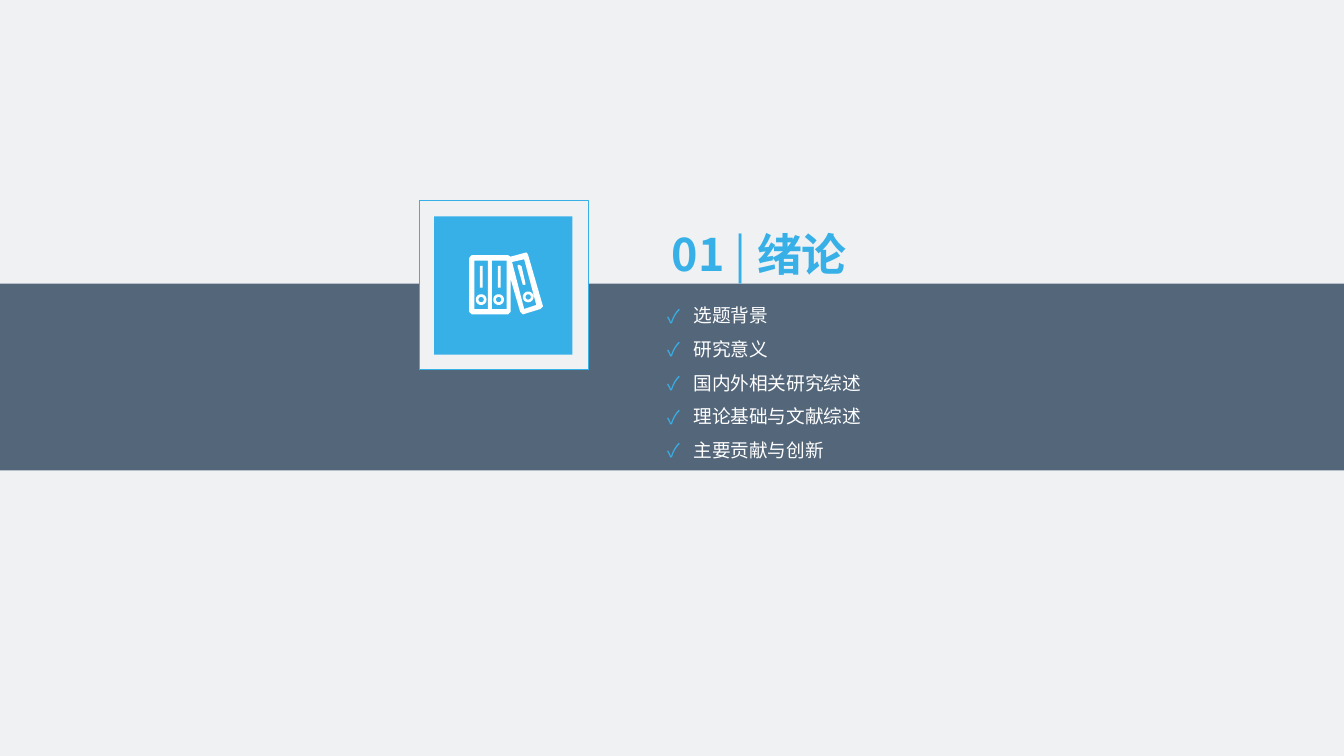
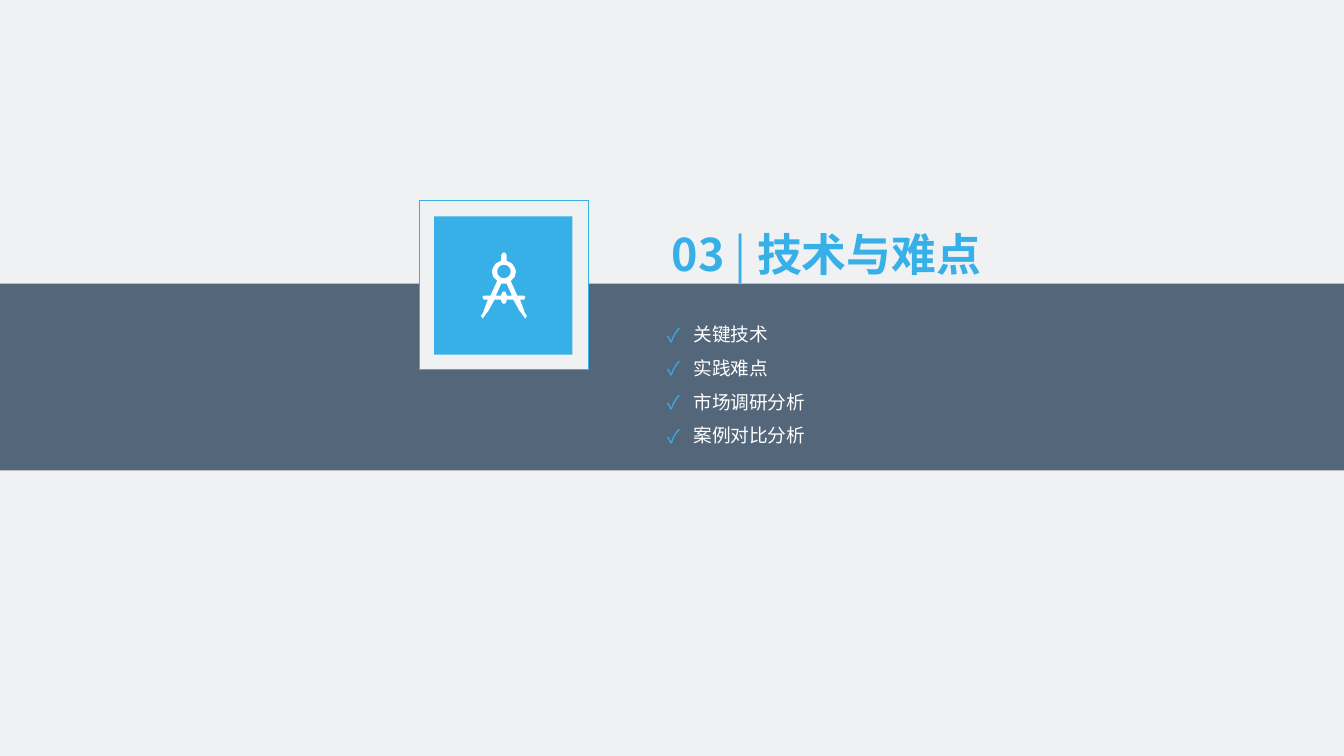
"""Build two section slides with a band, a framed icon and a checked list."""
from math import cos, pi, sin

from lxml import etree
from pptx import Presentation
from pptx.dml.color import RGBColor
from pptx.enum.shapes import MSO_SHAPE
from pptx.enum.text import MSO_AUTO_SIZE
from pptx.oxml.ns import qn
from pptx.util import Inches, Pt

RECT = MSO_SHAPE.RECTANGLE
GROW = MSO_AUTO_SIZE.SHAPE_TO_FIT_TEXT
COLORS = {"paper": "F0F1F3", "band": "54667A", "blue": "37B0E8", "white": "FFFFFF"}
RGB = {name: RGBColor.from_string(code) for name, code in COLORS.items()}
CJK = "Noto Sans CJK SC"
LATIN = "Roboto Condensed"


def circle(x, y, radius):
    return [(x + radius * cos(k * pi / 12), y + radius * sin(k * pi / 12))
            for k in range(24)]


def add_run(para, text, font, size, color, bold=False):
    run = para.add_run()
    run.text = text
    run.font.size = Pt(size)
    run.font.bold = bold
    run.font.color.rgb = RGB[color]
    run.font.name = font
    etree.SubElement(run._r.get_or_add_rPr(), qn("a:ea"), typeface=CJK)


binders = [
    [(3.93, 1.9), (3.92, 1.88), (3.91, 1.88), (3.8, 1.91), (3.78, 1.9),
     (3.51, 1.9), (3.49, 1.92), (3.49, 2.32), (3.51, 2.34), (3.78, 2.34),
     (3.8, 2.32), (3.8, 2.08), (3.87, 2.32), (3.89, 2.34), (4.02, 2.3),
     (4.04, 2.28)],
    [(3.81, 1.95), (3.9, 1.93), (3.99, 2.27), (3.9, 2.3)],
    [(3.86, 1.97), (3.85, 1.98), (3.89, 2.12), (3.91, 2.12), (3.91, 2.11),
     (3.88, 1.98)],
]
for left, right in ((3.53, 3.63), (3.66, 3.77)):
    mid = (left + right) / 2
    binders.append([(left, 1.94), (right, 1.94), (right, 2.3), (left, 2.3)])
    binders.append([(mid - 0.01, 1.98), (mid + 0.01, 1.98),
                    (mid + 0.01, 2.14), (mid - 0.01, 2.14)])
for x, y in ((3.58, 2.23), (3.71, 2.23), (3.93, 2.21)):
    binders += [circle(x, y, 0.04), circle(x, y, 0.02)]

half = [(3.75, 1.88), (3.76, 1.88), (3.77, 1.9), (3.77, 1.94), (3.81, 1.96),
        (3.83, 1.99), (3.84, 2.02), (3.83, 2.06), (3.8, 2.09), (3.85, 2.2),
        (3.9, 2.2), (3.91, 2.21), (3.9, 2.23), (3.87, 2.23), (3.9, 2.31),
        (3.9, 2.32), (3.92, 2.35), (3.91, 2.37), (3.9, 2.36), (3.88, 2.33),
        (3.87, 2.32), (3.82, 2.23), (3.77, 2.23), (3.77, 2.24), (3.76, 2.26),
        (3.75, 2.26)]
compass = [
    half + [(7.5 - x, y) for x, y in reversed(half[1:-1])],
    [(3.73, 2.2), (3.73, 2.19), (3.74, 2.17), (3.76, 2.17), (3.77, 2.19),
     (3.77, 2.2), (3.81, 2.2), (3.77, 2.11), (3.73, 2.11), (3.69, 2.2)],
    circle(3.75, 2.02, 0.05),
]

plates = [
    (0, 2.11, 10, 1.39, "band", None),
    (3.12, 1.49, 1.26, 1.26, "paper", "blue"),
    (3.23, 1.61, 1.03, 1.03, "blue", None),
]
pages = [
    ("01 ", "绪论", 0.61, 2.18, 1.26, binders,
     ["选题背景", "研究意义", "国内外相关研究综述", "理论基础与文献综述", "主要贡献与创新"]),
    ("03 ", "技术与难点", 0.53, 2.32, 0.98, compass,
     ["关键技术", "实践难点", "市场调研分析", "案例对比分析"]),
]

prs = Presentation()
prs.slide_width = Inches(10)
prs.slide_height = Inches(10) * 9 // 16

for number, title, tall, top, depth, icon, points in pages:
    slide = prs.slides.add_slide(prs.slide_layouts[6])
    slide.background.fill.solid()
    slide.background.fill.fore_color.rgb = RGB["paper"]

    for x, y, w, h, fill, line in plates:
        plate = slide.shapes.add_shape(RECT, Inches(x), Inches(y), Inches(w), Inches(h))
        plate.shadow.inherit = False
        plate.fill.solid()
        plate.fill.fore_color.rgb = RGB[fill]
        if line:
            plate.line.color.rgb = RGB[line]
            plate.line.width = Pt(0.5)
        else:
            plate.line.fill.background()

    frames = []
    for x, y, w, h in ((4.97, top, 1.56, depth), (5, 1.49, 2.6, tall)):
        box = slide.shapes.add_textbox(Inches(x), Inches(y), Inches(w), Inches(h))
        frame = box.text_frame
        frame.word_wrap = True
        frame.auto_size = GROW
        frame.margin_left = frame.margin_right = 0
        frame.margin_top = frame.margin_bottom = 0
        frames.append(frame)
    listing, heading = frames

    for i, point in enumerate(points):
        para = listing.add_paragraph() if i else listing.paragraphs[0]
        para.line_spacing = 1.5
        props = para._p.get_or_add_pPr()
        props.set("marL", str(Inches(0.19)))
        props.set("indent", str(-Inches(0.19)))
        tint = etree.SubElement(props, qn("a:buClr"))
        etree.SubElement(tint, qn("a:srgbClr"), val=COLORS["blue"])
        etree.SubElement(props, qn("a:buFont"), typeface=CJK)
        etree.SubElement(props, qn("a:buChar"), char="✓")
        add_run(para, point, LATIN, 10, "white")

    para = heading.paragraphs[0]
    para.line_spacing = 1.5
    for text, bold in ((number, True), ("| ", False), (title, True)):
        add_run(para, text, CJK, 24, "blue", bold)

    pen = None
    for ring in icon:
        dots = [(Inches(x), Inches(y)) for x, y in ring]
        if pen is None:
            pen = slide.shapes.build_freeform(*dots[0])
        else:
            pen.move_to(*dots[0])
        pen.add_line_segments(dots[1:], close=True)
    glyph = pen.convert_to_shape()
    glyph.shadow.inherit = False
    glyph.fill.solid()
    glyph.fill.fore_color.rgb = RGB["white"]
    glyph.line.fill.background()

prs.save("out.pptx")
